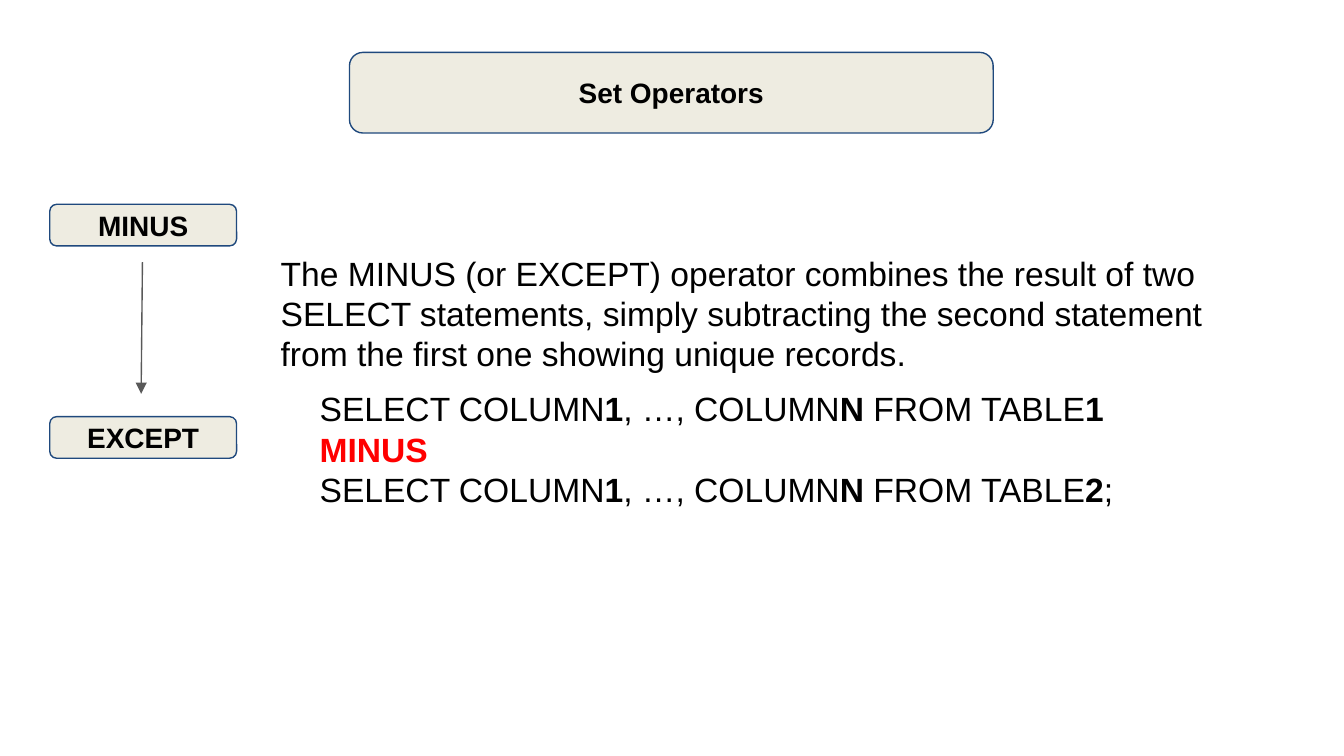
from lxml import etree
from pptx import Presentation
from pptx.dml.color import RGBColor
from pptx.enum.shapes import MSO_CONNECTOR, MSO_SHAPE
from pptx.enum.text import MSO_ANCHOR, MSO_AUTO_SIZE, PP_ALIGN
from pptx.oxml.ns import qn
from pptx.util import Inches, Pt

STRAIGHT = MSO_CONNECTOR.STRAIGHT
ROUNDED = MSO_SHAPE.ROUNDED_RECTANGLE
MIDDLE, TOP = MSO_ANCHOR.MIDDLE, MSO_ANCHOR.TOP
CENTER, LEFT = PP_ALIGN.CENTER, PP_ALIGN.LEFT

BLACK = RGBColor(0x00, 0x00, 0x00)
RED = RGBColor(0xFF, 0x00, 0x00)
CREAM = RGBColor(0xEE, 0xEC, 0xE1)
NAVY = RGBColor(0x1F, 0x49, 0x7D)
GRAY = RGBColor(0x59, 0x59, 0x59)
FONT = "Arial"
LABEL_SIZE, TEXT_SIZE = 15, 18
BLANK = 6
PAGE_WIDTH = Inches(10)
PAGE_HEIGHT = PAGE_WIDTH * 9 // 16

# Content: labels with their areas, then texts as lines of (text, bold, colour)
LABELS = [
    ("Set Operators", (2.6, 0.39, 4.79, 0.6)),
    ("MINUS", (0.37, 1.52, 1.39, 0.31)),
    ("EXCEPT", (0.37, 3.1, 1.39, 0.31)),
]
ARROW = (1.06, 1.95, 1.05, 2.93)
DESCRIPTION = (
    "The MINUS (or EXCEPT) operator combines the result of two SELECT "
    "statements, simply subtracting the second statement from the first one "
    "showing unique records."
)


def select_line(table, ending=()):
    return [("SELECT COLUMN", False, BLACK), ("1", True, BLACK),
            (", …, COLUMN", False, BLACK), ("N", True, BLACK),
            (" FROM TABLE", False, BLACK), (table, True, BLACK), *ending]


TEXTS = [
    ((1.99, 1.78, 7.26, 0.46), [[(DESCRIPTION, False, BLACK)]]),
    ((2.28, 2.79, 6.19, 0.46), [
        select_line("1"),
        [("MINUS", True, RED)],
        select_line("2", [(";", False, BLACK)]),
    ]),
]


def write(shape, lines, size, align, anchor):
    frame = shape.text_frame
    frame.word_wrap = True
    frame.auto_size = MSO_AUTO_SIZE.NONE
    frame.vertical_anchor = anchor
    frame.margin_left = frame.margin_right = Inches(0.1)
    frame.margin_top = frame.margin_bottom = Inches(0.1)
    for index, line in enumerate(lines):
        para = frame.add_paragraph() if index else frame.paragraphs[0]
        para.alignment = align
        para.line_spacing = Pt(size * 1.2)
        for text, bold, color in line:
            span = para.add_run()
            span.text = text
            span.font.name = FONT
            span.font.size = Pt(size)
            span.font.bold = bold
            span.font.color.rgb = color


deck = Presentation()
deck.slide_width, deck.slide_height = PAGE_WIDTH, PAGE_HEIGHT
page = deck.slides.add_slide(deck.slide_layouts[BLANK])

# Heading and operator labels
for name, area in LABELS:
    label = page.shapes.add_shape(ROUNDED, *map(Inches, area))
    label.shadow.inherit = False
    label.fill.solid()
    label.fill.fore_color.rgb = CREAM
    label.line.color.rgb = NAVY
    label.line.width = Pt(0.75)
    write(label, [[(name, True, BLACK)]], LABEL_SIZE, CENTER, MIDDLE)

# Description and query
for area, lines in TEXTS:
    box = page.shapes.add_textbox(*map(Inches, area))
    write(box, lines, TEXT_SIZE, LEFT, TOP)

# Arrow between the operators
arrow = page.shapes.add_connector(STRAIGHT, *map(Inches, ARROW))
arrow.line.color.rgb = GRAY
arrow.line.width = Pt(0.75)
properties = arrow.element.spPr
etree.SubElement(properties.find(qn("a:ln")), qn("a:tailEnd"), type="triangle")
etree.SubElement(properties, qn("a:effectLst"))

deck.save("out.pptx")
